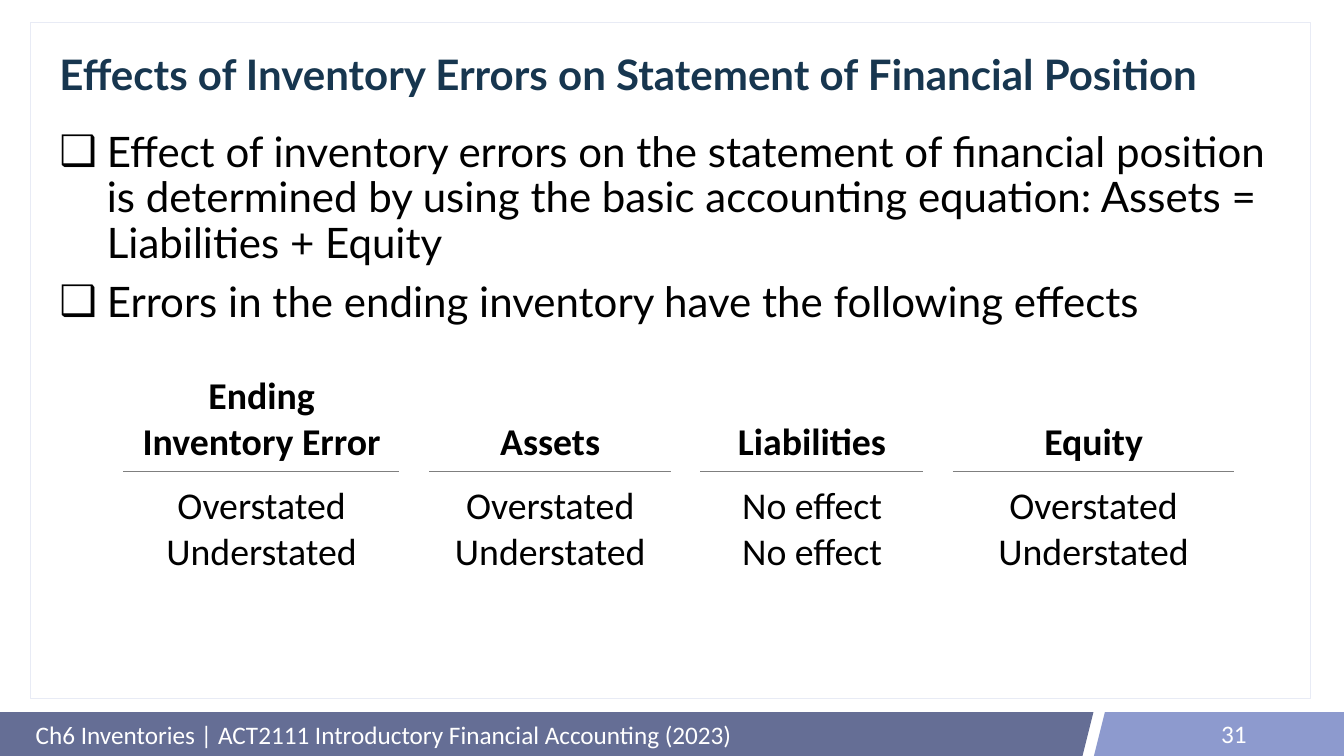
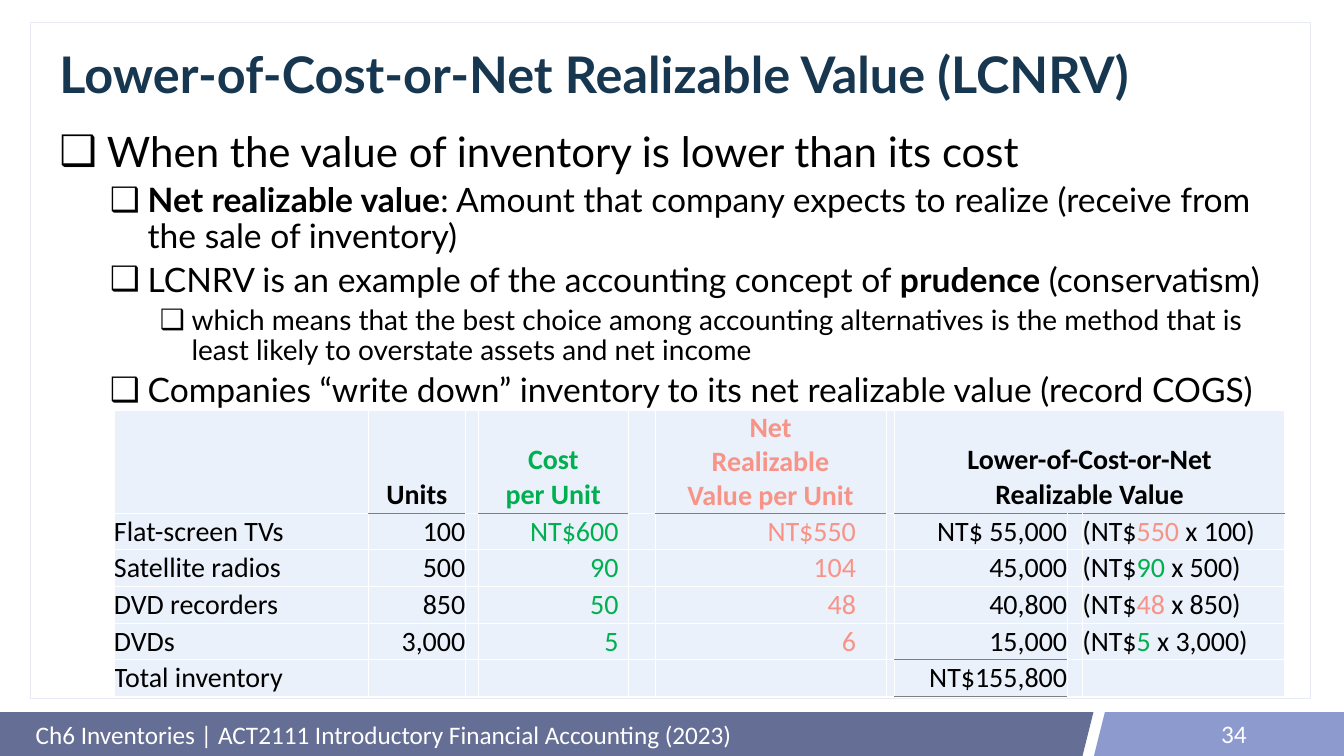
from lxml.etree import SubElement
from pptx import Presentation
from pptx.dml.color import RGBColor
from pptx.enum.shapes import MSO_SHAPE as Shape
from pptx.enum.text import MSO_ANCHOR as Anchor, MSO_AUTO_SIZE as AutoSize, PP_ALIGN as Align
from pptx.oxml.ns import qn
from pptx.util import Inches, Pt

rgb = RGBColor.from_string
BLACK, WHITE, GRAY = "000000", "FFFFFF", "7F7F7F"
NAVY, SLATE, PERIWINKLE, FRAME = "17364F", "656E95", "8D9ACE", "E8EBF5"
COST, NRV, CELL = "00B050", "F89387", "EAF1FA"
HEADING_FONT, TABLE_FONT = "Lato", "Calibri"


def write(paragraph, pieces, font, size, color=BLACK, bold=False, align=Align.LEFT, accent=None):
    """Add pieces as runs; every second one takes the accent colour, or bold if there is none."""
    paragraph.alignment = align
    paragraph.font.name = font
    paragraph.font.size = Pt(size)
    paragraph.font.bold = bold
    paragraph.font.color.rgb = rgb(color)
    for index, piece in enumerate(pieces):
        if not piece:
            continue
        run = paragraph.add_run()
        run.text = piece
        if index % 2 and accent:
            run.font.color.rgb = rgb(accent)
        elif index % 2:
            run.font.bold = True


def format_cell(cell, margins, anchor, borders, fill=None):
    """Set margins (left, top, right, bottom), borders {tag: (colour, points)} and fill."""
    cell.margin_left, cell.margin_top, cell.margin_right, cell.margin_bottom = map(Inches, margins)
    cell.vertical_anchor = anchor
    properties = cell._tc.get_or_add_tcPr()
    for tag, (color, points) in borders.items():
        line = SubElement(properties, qn(f"a:{tag}"), w=str(Pt(points)))
        SubElement(SubElement(line, qn("a:solidFill")), qn("a:srgbClr"), val=color)
    if fill:
        cell.fill.solid()
        cell.fill.fore_color.rgb = rgb(fill)
    else:
        cell.fill.background()


presentation = Presentation()
presentation.slide_width = Inches(26.66)
presentation.slide_height = Inches(15)
layout = presentation.slide_layouts[1]

# Each bullet is a level and its text pieces, with every second piece bold
pages = [
    ("Effects of Inventory Errors on Statement of Financial Position", 60, "31", [
        (0, ["Effect of inventory errors on the statement of financial position is determined by "
             "using the basic accounting equation: Assets = Liabilities + Equity"]),
        (0, ["Errors in the ending inventory have the following effects"]),
    ]),
    ("Lower-of-Cost-or-Net Realizable Value (LCNRV)", 72, "34", [
        (0, ["When the value of inventory is lower than its cost"]),
        (1, ["", "Net realizable value",
             ": Amount that company expects to realize (receive from the sale of inventory)"]),
        (1, ["LCNRV is an example of the accounting concept of ", "prudence", " (conservatism)"]),
        (2, ["which means that the best choice among accounting alternatives is the method that "
             "is least likely to overstate assets and net income"]),
        (1, ["Companies “write down” inventory to its net realizable value (record COGS)"]),
    ]),
]
# Left margin, hanging indent, text size and space before of each bullet level
levels = [(0.94, 0.94, 60, 20), (1.75, 0.75, 48, 10), (2.62, 0.63, 40, 10)]

slides = []
for title_text, title_size, number, bullets in pages:
    slide = presentation.slides.add_slide(layout)
    slides.append(slide)
    title, body = slide.placeholders
    for placeholder, top, height in [(title, 0.8, 1.45), (body, 2.55, 10.97)]:
        placeholder.left, placeholder.top = Inches(1.08), Inches(top)
        placeholder.width, placeholder.height = Inches(24.39), Inches(height)
        placeholder.text_frame.auto_size = AutoSize.NONE
        placeholder.text_frame.word_wrap = True

    title.text_frame.vertical_anchor = Anchor.MIDDLE
    heading = title.text_frame.paragraphs[0]
    heading.line_spacing = 0.9
    write(heading, [title_text], HEADING_FONT, title_size, NAVY, bold=True)

    for index, (level, pieces) in enumerate(bullets):
        margin, hanging, size, space = levels[level]
        paragraph = body.text_frame.add_paragraph() if index else body.text_frame.paragraphs[0]
        paragraph.level = level
        properties = paragraph._p.get_or_add_pPr()
        properties.set("marL", str(Inches(margin)))
        properties.set("indent", str(-Inches(hanging)))
        SubElement(properties, qn("a:buChar"), char="❑")
        paragraph.line_spacing = 0.9
        paragraph.space_before = Pt(space if index else 0)
        write(paragraph, pieces, HEADING_FONT, size)

    for text, left, width, height, align in [
        ("Ch6 Inventories | ACT2111 Introductory Financial Accounting (2023)", 0.61, 20.6, 0.85, Align.LEFT),
        (number, 18.83, 6, 0.8, Align.RIGHT),
    ]:
        box = slide.shapes.add_textbox(Inches(left), Inches(14.15), Inches(width), Inches(height))
        box.text_frame.word_wrap = True
        box.text_frame.vertical_anchor = Anchor.MIDDLE
        write(box.text_frame.paragraphs[0], [text], TABLE_FONT, 36, WHITE, align=align)

# Footer bands and content frame, drawn once and moved to the shared layout
backdrop = [
    (Shape.RECTANGLE, 0, 14.13, 19.95, 0.87, SLATE),
    (Shape.PARALLELOGRAM, 17.39, 14.13, 4.3, 0.87, SLATE),
    (Shape.PARALLELOGRAM, 21.7, 14.13, 4.3, 0.87, PERIWINKLE),
    (Shape.RECTANGLE, 22.37, 14.13, 4.29, 0.87, PERIWINKLE),
    (Shape.RECTANGLE, 0.61, 0.44, 25.39, 13.41, WHITE),
]
for index, (kind, left, top, width, height, color) in enumerate(backdrop):
    shape = slides[0].shapes.add_shape(kind, Inches(left), Inches(top), Inches(width), Inches(height))
    shape.shadow.inherit = False
    shape.fill.solid()
    shape.fill.fore_color.rgb = rgb(color)
    if color == WHITE:
        shape.line.color.rgb = rgb(FRAME)
        shape.line.width = Pt(1)
        fill_color = shape.element.spPr.find(qn("a:solidFill")).find(qn("a:srgbClr"))
        SubElement(fill_color, qn("a:alpha"), val="85000")
    else:
        shape.line.fill.background()
    shape.element.nvSpPr.cNvPr.set("id", str(100 + index))
    layout.shapes.element.append(shape.element)

# Effects of errors: text columns alternate with narrow gaps
effects = [
    (["Ending", "Inventory Error"], ["Overstated", "Understated"]),
    (["Assets"], ["Overstated", "Understated"]),
    (["Liabilities"], ["No effect", "No effect"]),
    (["Equity"], ["Overstated", "Understated"]),
]
effects_table = slides[0].shapes.add_table(
    2, 7, Inches(2.45), Inches(7.03), Inches(22.05), Inches(4.63)).table
effects_table.first_row = effects_table.horz_banding = False
for column, width in zip(effects_table.columns, [5.48, 0.59, 4.79, 0.59, 4.42, 0.59, 5.57]):
    column.width = Inches(width)
for row in range(2):
    for column in range(7):
        cell = effects_table.cell(row, column)
        side = 0.1 if column == 6 else 0
        rule = {} if column % 2 else {"lnT" if row else "lnB": (GRAY, 1.5)}
        format_cell(cell, (side, 0.1, side, 0.1), Anchor.MIDDLE if row else Anchor.BOTTOM, rule)
        if column % 2:
            continue
        for index, line in enumerate(effects[column // 2][row]):
            paragraph = cell.text_frame.add_paragraph() if index else cell.text_frame.paragraphs[0]
            write(paragraph, [line], TABLE_FONT, 54, bold=row == 0, align=Align.CENTER)

# Valuation of each product at the lower of cost and net realizable value
headers = {
    1: ["Units"],
    3: ["Cost", "per Unit"],
    5: ["Net", "Realizable", "Value per Unit"],
    7: ["Lower-of-Cost-or-Net", "Realizable Value"],
}
products = [
    ("Flat-screen TVs", "100", "NT$600", "NT$550", "NT$ 55,000", ["(NT$", "550", " x 100)"], NRV),
    ("Satellite radios", "500", "90", "104", "45,000", ["(NT$", "90", " x 500)"], COST),
    ("DVD recorders", "850", "50", "48", "40,800", ["(NT$", "48", " x 850)"], NRV),
    ("DVDs", "3,000", "5", "6", "15,000", ["(NT$", "5", " x 3,000)"], COST),
    ("Total inventory", "", "", "", "NT$155,800", [], None),
]
text_columns = [0, 1, 3, 5, 7, 9]
column_colors = {3: COST, 5: NRV}
right_margins = {0: 0.1, 3: 0.2, 5: 0.6}
ruled_below = {(0, column) for column in (1, 3, 5, 7, 8, 9)} | {(4, 7), (5, 7)}

value_table = slides[1].shapes.add_table(
    6, 10, Inches(2.26), Inches(8.15), Inches(23.21), Inches(5.67)).table
value_table.first_row = value_table.horz_banding = False
for column, width in zip(value_table.columns, [5.05, 1.92, 0.25, 2.99, 0.52, 4.59, 0.17, 3.42, 0.3, 4.01]):
    column.width = Inches(width)
for index, row in enumerate(value_table.rows):
    row.height = Inches(0.64 if index else 1.66)
value_table.cell(0, 7).merge(value_table.cell(0, 9))

for row in range(6):
    for column in range(10):
        cell = value_table.cell(row, column)
        borders = {
            "lnL": (WHITE, 1),
            "lnR": (WHITE, 1),
            "lnT": (GRAY if (row - 1, column) in ruled_below else WHITE, 1),
            "lnB": (GRAY if (row, column) in ruled_below else WHITE, 1),
        }
        margins = (0, 0.03 if row else 0, right_margins.get(column, 0) if row else 0, 0.03)
        format_cell(cell, margins, Anchor.BOTTOM, borders, CELL)

for column, lines in headers.items():
    frame = value_table.cell(0, column).text_frame
    for index, line in enumerate(lines):
        paragraph = frame.add_paragraph() if index else frame.paragraphs[0]
        write(paragraph, [line], TABLE_FONT, 40, column_colors.get(column, BLACK), True, Align.CENTER)

for row, (*values, formula, accent) in enumerate(products, start=1):
    for column, pieces in zip(text_columns, [[value] for value in values] + [formula]):
        write(value_table.cell(row, column).text_frame.paragraphs[0], pieces, TABLE_FONT, 40,
              column_colors.get(column, BLACK),
              align=Align.LEFT if column in (0, 9) else Align.RIGHT, accent=accent)

presentation.save("out.pptx")
